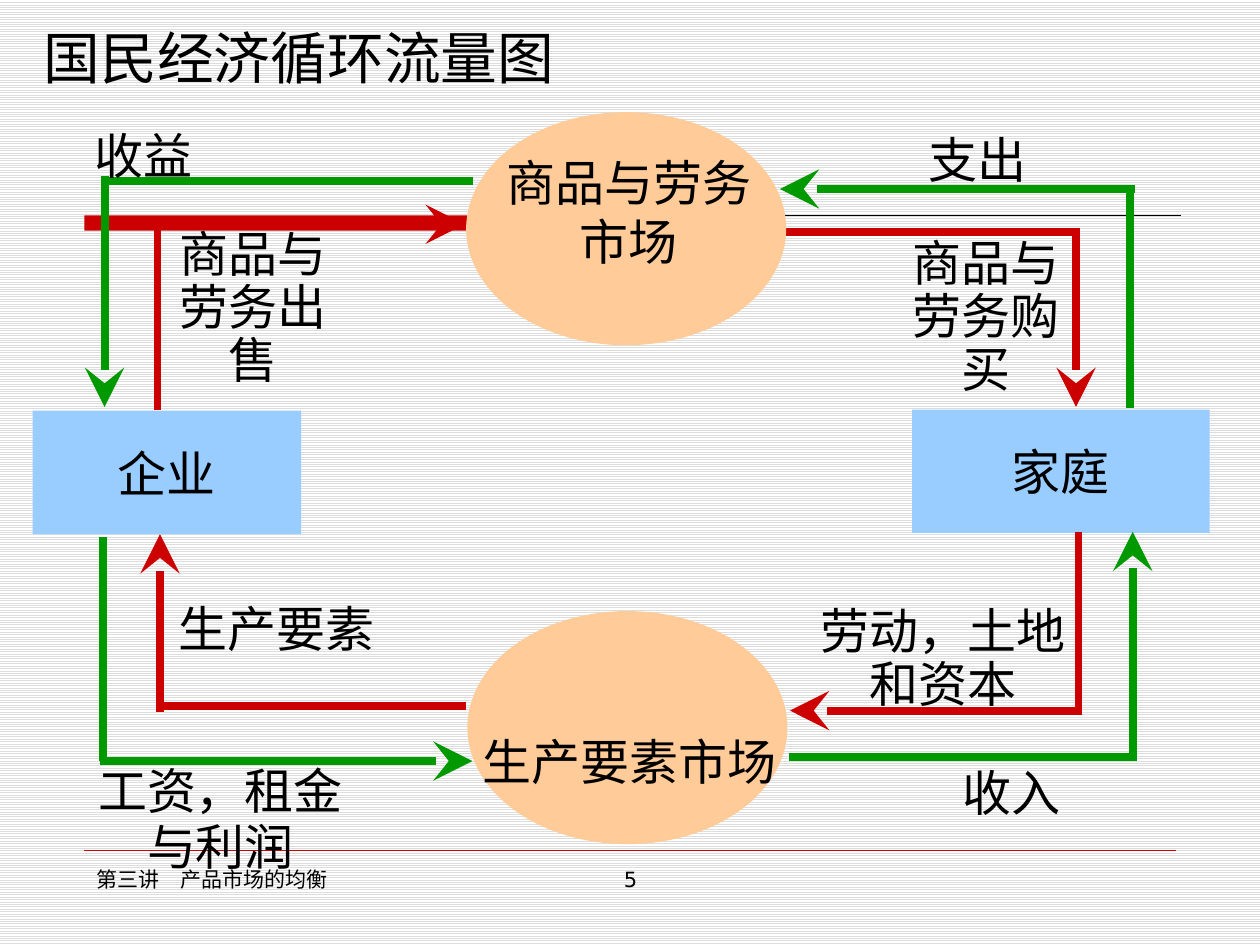
from dataclasses import dataclass
from lxml.etree import SubElement
from pptx import Presentation
from pptx.dml.color import RGBColor
from pptx.enum.dml import MSO_PATTERN
from pptx.enum.shapes import MSO_CONNECTOR, MSO_SHAPE
from pptx.enum.text import MSO_ANCHOR, PP_ALIGN
from pptx.oxml.ns import qn
from pptx.util import Emu, Pt

SCALE = 9144
LEFT, MID = PP_ALIGN.LEFT, PP_ALIGN.CENTER


@dataclass(frozen=True)
class Theme:
    ink: str = "000000"
    paper: str = "FFFFFF"
    stripe: str = "DDDDDD"
    goods: str = "CC0000"
    money: str = "009900"
    market: str = "FFCC99"
    agent: str = "99CCFF"
    body: str = "DejaVu Sans"
    head: str = "Noto Sans CJK JP"
    foot: str = "Arial"
    title: float = 32.4
    label: float = 28
    small: float = 12
    flow: float = 4.5
    rule: float = 0.75
    hair: float = 0.25


T = Theme()


def px(num):
    return Emu(num * SCALE)


def tint(code):
    return RGBColor.from_string(code)


def write(frame, text, size=T.label, font=T.body, align=MID, gap=None,
          anchor=MSO_ANCHOR.TOP):
    frame.word_wrap = True
    frame.vertical_anchor = anchor
    para = frame.paragraphs[0]
    para.alignment = align
    para.line_spacing = gap
    run = para.add_run()
    run.text = text
    run.font.size = Pt(size)
    run.font.name = font
    run.font.color.rgb = tint(T.ink)
    SubElement(run.font._element, qn("a:ea"), typeface=font)


def add_text(slide, box, text, **style):
    shape = slide.shapes.add_textbox(*map(px, box))
    write(shape.text_frame, text, **style)


def add_block(slide, kind, box, color):
    shape = slide.shapes.add_shape(kind, *map(px, box))
    shape.shadow.inherit = False
    shape.fill.solid()
    shape.fill.fore_color.rgb = tint(color)
    shape.line.fill.background()
    return shape


def add_line(slide, ends, color, width=T.flow, arrow=False):
    line = slide.shapes.add_connector(MSO_CONNECTOR.STRAIGHT, *map(px, ends))
    line.line.color.rgb = tint(color)
    line.line.width = Pt(width)
    if arrow:
        SubElement(line.line._get_or_add_ln(), qn("a:tailEnd"),
                   type="stealth", w="lg", len="lg")
    SubElement(line._element.spPr, qn("a:effectLst"))


def add_flow(slide, color, lead, tail, box, text, **style):
    add_line(slide, lead, color, arrow=True)
    add_line(slide, tail, color)
    add_text(slide, box, text, **style)


def add_agent(slide, box, text):
    shape = add_block(slide, MSO_SHAPE.RECTANGLE, box, T.agent)
    write(shape.text_frame, text, anchor=MSO_ANCHOR.MIDDLE)


def add_market(slide, box, area, text):
    add_block(slide, MSO_SHAPE.OVAL, box, T.market)
    add_text(slide, area, text)


def add_frame(slide):
    fill = slide.background.fill
    fill.patterned()
    fill.pattern = MSO_PATTERN.LIGHT_HORIZONTAL
    fill.fore_color.rgb = tint(T.stripe)
    fill.back_color.rgb = tint(T.paper)
    add_block(slide, MSO_SHAPE.RECTANGLE, (67, 171, 509, 12), T.goods)
    add_line(slide, (576, 171, 937, 171), T.ink, width=T.rule)
    add_line(slide, (67, 675, 933, 675), T.goods, width=T.hair)
    add_text(slide, (67, 683, 217, 52), "第三讲　产品市场的均衡",
             size=T.small, font=T.foot, align=LEFT)
    add_text(slide, (342, 683, 317, 52), "5", size=T.small)
    add_text(slide, (25, 17, 900, 60), "国民经济循环流量图", size=T.title,
             font=T.head, align=LEFT, anchor=MSO_ANCHOR.BOTTOM)


def main():
    deck = Presentation()
    deck.slide_width, deck.slide_height = px(1000), px(750)
    slide = deck.slides.add_slide(deck.slide_layouts[6])
    add_frame(slide)

    add_market(slide, (371, 485, 254, 185), (367, 576, 265, 57), "生产要素市场")
    add_agent(slide, (724, 325, 236, 98), "家庭")
    add_agent(slide, (26, 326, 213, 98), "企业")

    add_flow(slide, T.money, (899, 604, 899, 422), (898, 601, 626, 601),
             (663, 600, 279, 57), "收入")
    add_flow(slide, T.money, (79, 604, 375, 604), (82, 604, 82, 426),
             (53, 602, 244, 99), "工资，租金与利润", gap=0.95)
    add_flow(slide, T.goods, (127, 565, 127, 424), (127, 560, 370, 560),
             (132, 475, 219, 52), "生产要素", align=LEFT, gap=0.9)
    add_flow(slide, T.goods, (859, 564, 627, 564), (856, 565, 856, 422),
             (639, 477, 219, 94), "劳动，土地和资本", gap=0.9)
    add_flow(slide, T.money, (901, 150, 619, 150), (897, 148, 897, 324),
             (727, 98, 239, 57), "支出", align=LEFT)
    add_flow(slide, T.goods, (854, 182, 854, 323), (857, 184, 624, 184),
             (711, 185, 143, 136), "商品与劳务购买", gap=0.9)
    add_flow(slide, T.goods, (122, 178, 369, 178), (125, 176, 125, 325),
             (129, 178, 143, 136), "商品与劳务出售", gap=0.9)
    add_flow(slide, T.money, (83, 140, 83, 323), (83, 144, 375, 144),
             (65, 95, 316, 57), "收益", align=LEFT)

    add_market(slide, (370, 89, 254, 185), (380, 116, 238, 103), "商品与劳务市场")
    deck.save("out.pptx")


if __name__ == "__main__":
    main()
